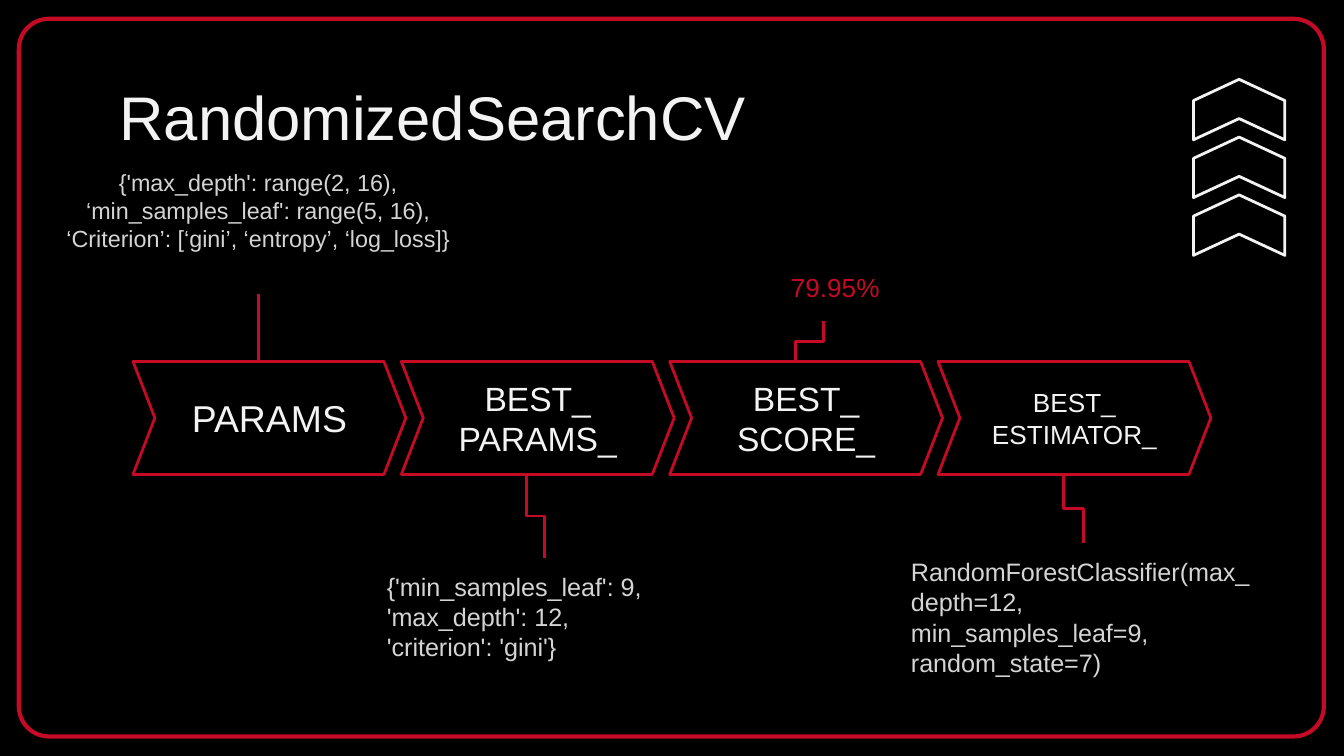
from lxml.etree import SubElement
from pptx import Presentation
from pptx.dml.color import RGBColor
from pptx.enum.shapes import MSO_CONNECTOR as CONN, MSO_SHAPE as SHAPE
from pptx.enum.text import MSO_ANCHOR as ANCHOR, PP_ALIGN as ALIGN
from pptx.oxml.ns import qn
from pptx.util import Inches, Pt

BLACK, RED, WHITE, GREY = "000000", "C50A25", "F3F3F3", "D4D4D4"
SLIDE_W = 10
SLIDE_H = SLIDE_W * 9 / 16


def rgb(value):
    return RGBColor.from_string(value)


def write(sp, lines, size, color, align=ALIGN.LEFT, anchor=ANCHOR.TOP, inset=0.1):
    tf = sp.text_frame
    margins = {f"margin_{side}": Inches(0.1) for side in ("left", "right")}
    margins |= {f"margin_{side}": Inches(inset) for side in ("top", "bottom")}
    for name, value in {"word_wrap": True, "vertical_anchor": anchor, **margins}.items():
        setattr(tf, name, value)
    for i, line in enumerate(lines):
        p = tf.paragraphs[0] if i == 0 else tf.add_paragraph()
        p.alignment = align
        r = p.add_run()
        r.text = line
        for name, value in {"name": "Arial", "size": Pt(size)}.items():
            setattr(r.font, name, value)
        r.font.color.rgb = rgb(color)


def add_text(s, box, lines, size, color, **fmt):
    sp = s.shapes.add_textbox(*map(Inches, box))
    write(sp, lines, size, color, **fmt)


def add_outline(s, kind, box, adjustment, color, weight):
    sp = s.shapes.add_shape(kind, *map(Inches, box))
    sp.adjustments[0] = adjustment
    sp.shadow.inherit = False
    sp.fill.background()
    sp.line.color.rgb = rgb(color)
    sp.line.width = Pt(weight)
    return sp


def add_leader(s, x, y, dx, dy):
    """Line from (x, y) that leaves vertically, with an elbow if dx is not 0."""
    if dx:
        # An elbow starts horizontally, so lay it flat and turn it by 270 degrees.
        cx, cy = x + dx / 2, y + dy / 2
        ends = cx + dy / 2, cy - dx / 2, cx - dy / 2, cy + dx / 2
        line = s.shapes.add_connector(CONN.ELBOW, *map(Inches, ends))
        line._element.spPr.find(qn("a:xfrm")).set("rot", str(270 * 60000))
    else:
        line = s.shapes.add_connector(CONN.STRAIGHT, *map(Inches, (x, y, x, y + dy)))
    line.line.color.rgb = rgb(RED)
    line.line.width = Pt(1.5)
    SubElement(line._element.spPr, qn("a:effectLst"))


def add_frame(s, box):
    add_outline(s, SHAPE.ROUNDED_RECTANGLE, box, 0.042, RED, 2.25)


def add_up_arrows(s, x, y, w, h, count=3):
    """Column of chevrons pointing up; each is w wide and h deep once turned."""
    for i in range(count):
        box = x + (w - h) / 2, y + i * 0.43 + (h - w) / 2, h, w
        sp = add_outline(s, SHAPE.CHEVRON, box, 0.351, WHITE, 1.5)
        sp.rotation = 270


def add_process(s, x, y, w, h, steps):
    """Row of overlapping chevrons that fills the box, each with a leader."""
    step_w, notch = 2.03, 0.194
    pitch = (w - step_w) / (len(steps) - 1)
    for i, (lines, size, (dx, dy)) in enumerate(steps):
        left = x + i * pitch
        sp = add_outline(s, SHAPE.CHEVRON, (left, y, step_w, h), notch, RED, 1.5)
        write(sp, lines, size, WHITE, align=ALIGN.CENTER, anchor=ANCHOR.MIDDLE)
        middle = left + (step_w - notch * h) / 2
        add_leader(s, middle, y if dy < 0 else y + h, dx, dy)


def add_notes(s):
    add_text(s, (0.3, 1.15, 3.24, 1.04),
             ["{'max_depth': range(2, 16),",
              "‘min_samples_leaf': range(5, 16), ‘Criterion’: [‘gini’, ‘entropy’, ‘log_loss]}"],
             12.5, GREY, align=ALIGN.CENTER)
    add_text(s, (4.76, 1.97, 2.91, 0.38), ["79.95%"], 14, RED, align=ALIGN.CENTER, inset=0.05)
    add_text(s, (2.78, 4.15, 2.55, 0.88),
             ["{'min_samples_leaf': 9, 'max_depth': 12,", "'criterion': 'gini'}"], 13.5, GREY)
    add_text(s, (6.68, 4.04, 2.77, 1.11),
             ["RandomForestClassifier(max_depth=12, min_samples_leaf=9, random_state=7)"],
             13.5, GREY)


def main():
    prs = Presentation()
    prs.slide_width, prs.slide_height = Inches(SLIDE_W), Inches(SLIDE_H)
    s = prs.slides.add_slide(prs.slide_layouts[6])
    s.background.fill.solid()
    s.background.fill.fore_color.rgb = rgb(BLACK)

    add_frame(s, (0.14, 0.14, 9.71, 5.34))
    add_text(s, (0.79, 0.49, 8.43, 0.63), ["RandomizedSearchCV"], 33, WHITE)
    add_up_arrows(s, 8.88, 0.59, 0.68, 0.45)
    add_process(s, 0.99, 2.69, 8.02, 0.84, [
        (["PARAMS"], 20, (0, -0.5)),
        (["BEST_", "PARAMS_"], 18, (0.13, 0.62)),
        (["BEST_", "SCORE_"], 18, (0.21, -0.3)),
        (["BEST_", "ESTIMATOR_"], 14, (0.15, 0.51)),
    ])
    add_notes(s)
    prs.save("out.pptx")


if __name__ == "__main__":
    main()
